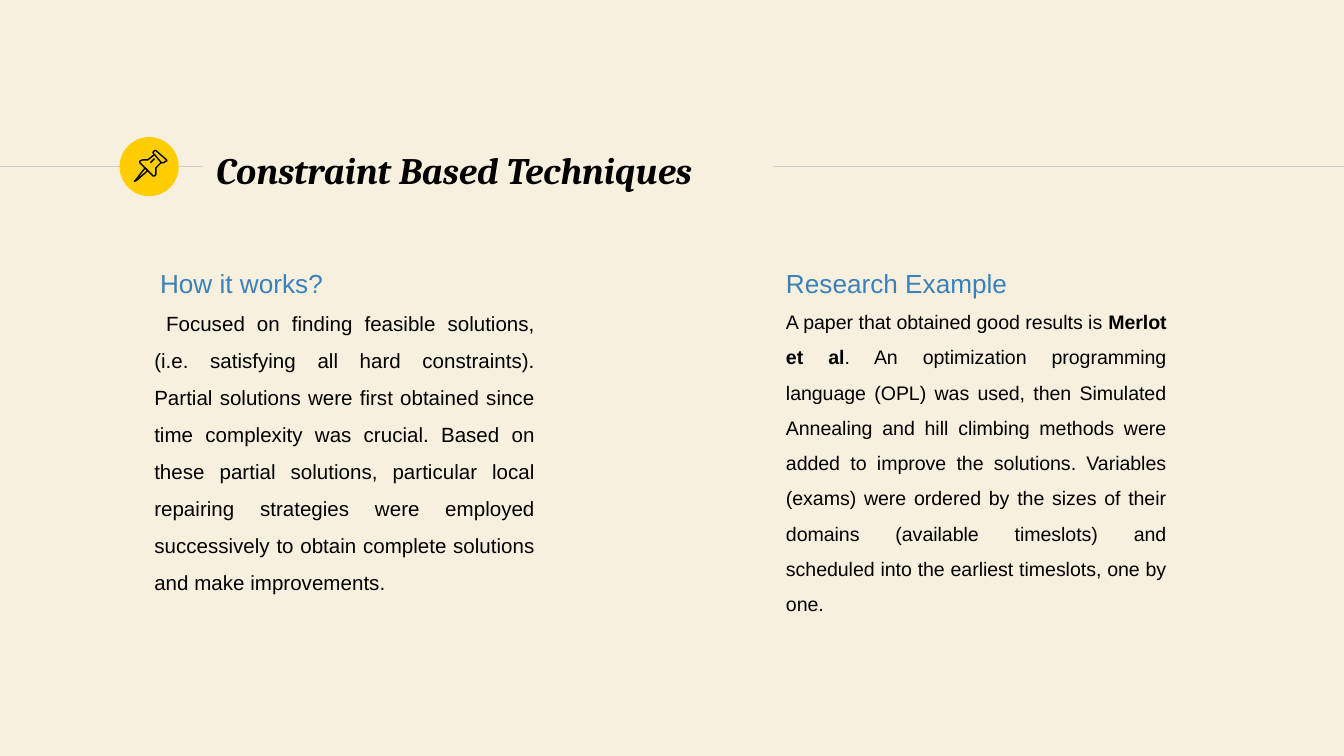
from lxml import etree
from pptx import Presentation
from pptx.dml.color import RGBColor
from pptx.enum.shapes import MSO_CONNECTOR, MSO_SHAPE
from pptx.enum.text import MSO_ANCHOR, PP_ALIGN
from pptx.oxml.ns import qn
from pptx.util import Inches, Pt


def color(hex_value):
    return RGBColor.from_string(hex_value)


def add_text_frame(left, top, width, height):
    frame = slide.shapes.add_textbox(
        Inches(left), Inches(top), Inches(width), Inches(height)).text_frame
    frame.word_wrap = True
    frame.margin_left = frame.margin_right = Inches(0.1)
    frame.margin_top = frame.margin_bottom = Inches(0.1)
    return frame


# 16:9 slide
prs = Presentation()
prs.slide_width = Inches(10)
prs.slide_height = Inches(10) * 9 // 16
slide = prs.slides.add_slide(prs.slide_layouts[6])

# Translucent cream background
background = slide.background.fill
background.solid()
background.fore_color.rgb = color("F7ECD7")
cream = slide.background._cSld.find(".//" + qn("a:srgbClr"))
etree.SubElement(cream, qn("a:alpha"), val="78000")

# Rules on both sides of the title
for start, end in [(0, 1.5), (5.76, 10)]:
    rule = slide.shapes.add_connector(
        MSO_CONNECTOR.STRAIGHT, Inches(start), Inches(1.24), Inches(end), Inches(1.24))
    rule.line.color.rgb = color("CCCCCC")
    rule.line.width = Pt(0.75)
    etree.SubElement(rule._element.spPr, qn("a:effectLst"))

# Yellow badge
badge = slide.shapes.add_shape(
    MSO_SHAPE.OVAL, Inches(0.89), Inches(1.02), Inches(0.44), Inches(0.44))
badge.shadow.inherit = False
badge.fill.solid()
badge.fill.fore_color.rgb = color("FFCD00")
badge.line.fill.background()

# Pushpin in hundredths of an inch: needle, head, body, highlight (points, closed)
pushpin = [
    ([(108, 125), (101, 134), (100, 135), (102, 134), (110, 127)], True),
    ([(115, 115), (120, 121), (122, 121), (123, 120), (124, 120),
      (124, 119), (116, 112), (115, 112), (114, 113), (114, 114)], True),
    ([(115, 115), (110, 119), (108, 119), (106, 119), (104, 120),
      (104, 121), (114, 131), (115, 131), (116, 130), (116, 128),
      (116, 125), (120, 121)], False),
    ([(112, 121), (115, 118)], False),
]
for points, closed in pushpin:
    (x, y), *others = points
    outline = slide.shapes.build_freeform(x, y, scale=Inches(0.01))
    outline.add_line_segments(others, close=closed)
    pin_part = outline.convert_to_shape()
    pin_part.shadow.inherit = False
    pin_part.fill.background()
    pin_part.line.color.rgb = color("000000")
    pin_part.line.width = Pt(0.75)

# Title
title = add_text_frame(1.51, 1.02, 4.24, 0.48)
title.vertical_anchor = MSO_ANCHOR.MIDDLE
heading = title.paragraphs[0]
heading.text = "Constraint Based Techniques"
heading.font.name, heading.font.size = "Cambria", Pt(20)
heading.font.bold = heading.font.italic = True
heading.font.color.rgb = color("000000")

# Two columns: left edge, then paragraphs of (text, size, colour, bold) runs
BLUE, BLACK = "3A81BA", "000000"
columns = [
    (1.05, [
        [(" ", 11, BLACK, False), ("How it works?", 14, BLUE, False)],
        [(" ", 10.5, BLACK, False),
         ("Focused on finding feasible solutions, (i.e. satisfying all hard "
          "constraints). Partial solutions were first obtained since time "
          "complexity was crucial. Based on these partial solutions, particular "
          "local repairing strategies were employed successively to obtain "
          "complete solutions and make improvements.", 11, BLACK, False)],
    ]),
    (5.75, [
        [("Research Example", 14, BLUE, False)],
        [("A paper that obtained good results is ", 10.5, BLACK, False),
         ("Merlot et al", 10.5, BLACK, True),
         (". An optimization programming language (OPL) was used, then Simulated "
          "Annealing and hill climbing methods were added to improve the "
          "solutions. Variables (exams) were ordered by the sizes of their "
          "domains (available timeslots) and scheduled into the earliest "
          "timeslots, one by one.", 10.5, BLACK, False)],
    ]),
]
for left, paragraphs in columns:
    column = add_text_frame(left, 1.77, 3.03, 3.4)
    for index, runs in enumerate(paragraphs):
        paragraph = column.add_paragraph() if index else column.paragraphs[0]
        paragraph.alignment = PP_ALIGN.JUSTIFY
        paragraph.line_spacing = 1.5
        paragraph.font.name = "Arial"
        for text, size, hex_value, bold in runs:
            run = paragraph.add_run()
            run.text = text
            run.font.size, run.font.bold = Pt(size), bold
            run.font.color.rgb = color(hex_value)

prs.save("out.pptx")
